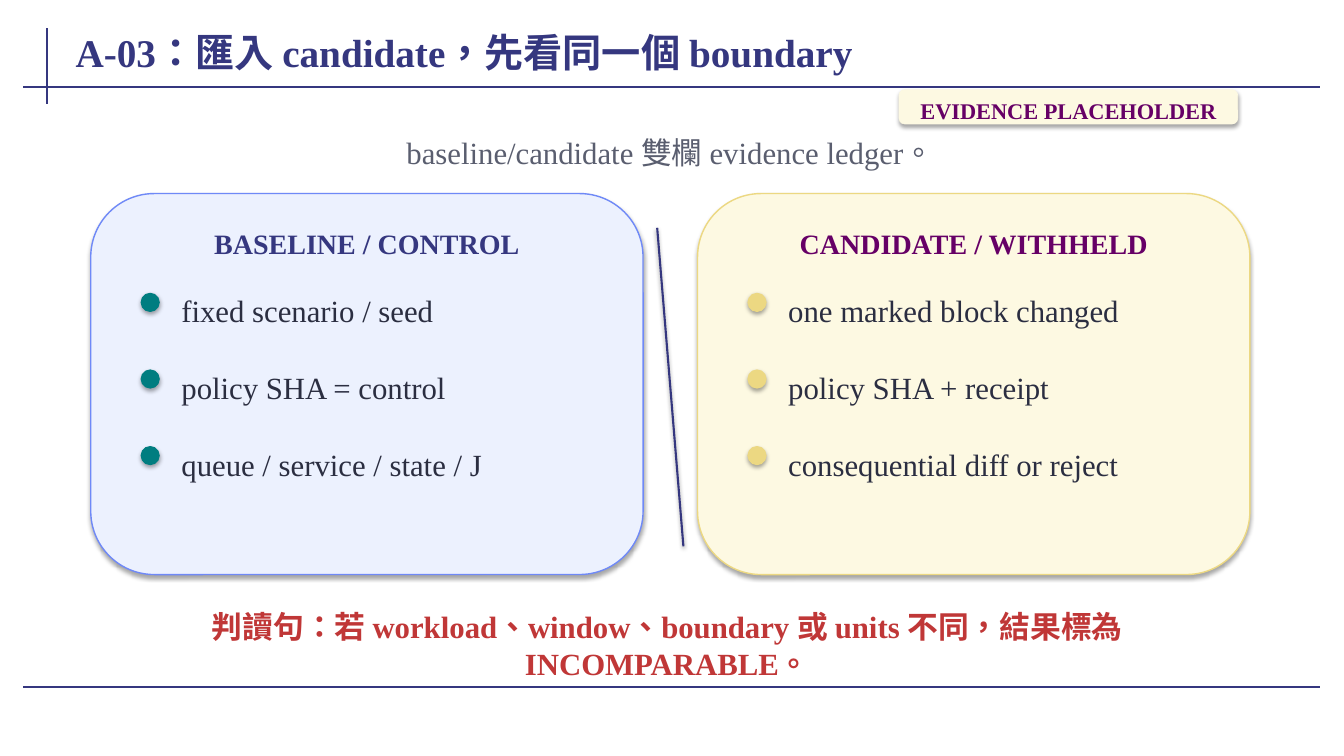
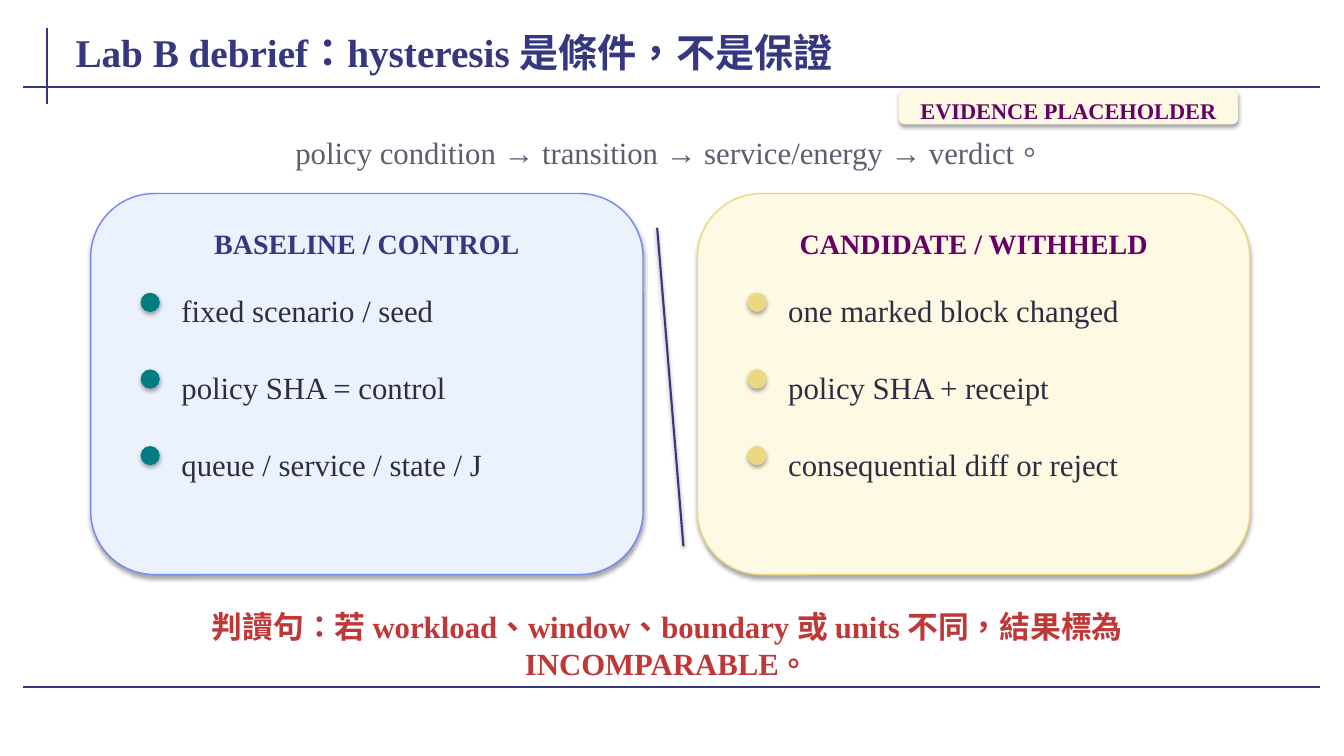
"""Build two evidence-ledger slides that compare a baseline with a candidate."""
from dataclasses import dataclass

from lxml.etree import SubElement
from pptx import Presentation
from pptx.dml.color import RGBColor
from pptx.enum.lang import MSO_LANGUAGE_ID
from pptx.enum.shapes import MSO_CONNECTOR, MSO_SHAPE
from pptx.enum.text import MSO_ANCHOR, MSO_AUTO_SIZE, PP_ALIGN
from pptx.oxml.ns import qn
from pptx.util import Pt

FONT = "Times New Roman"
NAVY, PURPLE, RED = "35377F", "660066", "C03737"
INK, GREY, TEAL = "2B2E41", "5A5E6F", "007D80"
BLUE, PALE_BLUE, GOLD, CREAM = "6F89F7", "ECF1FE", "ECD882", "FDF9E2"

PANEL_TOP, PANEL_W, PANEL_H = 138.24, 394.56, 272.16
HEADING_INDENT = 20.16
ITEM_TOP, ITEM_STEP = 205.2, 54.72
DOT_INDENT, DOT_DROP, DOT_SIZE = 36, 4.32, 12.96
TEXT_INDENT, ITEM_W, ITEM_H = 59.04, 302.4, 28.8
FRAME_LINES = ((33.84, 20.16, 33.84, 74.16), (16.56, 61.92, 943.2, 61.92),
               (16.56, 491.04, 943.2, 491.04))
VERDICT = "判讀句：若 workload、window、boundary 或 units 不同，結果標為 INCOMPARABLE。"


@dataclass(frozen=True)
class Panel:
    """A ledger column with its colours and items."""
    left: float
    heading: str
    heading_color: str
    fill: str
    border: str
    dot: str
    items: tuple[str, ...]


@dataclass(frozen=True)
class Ledger:
    """The wording that differs from slide to slide."""
    title: str
    subtitle: str


PANELS = (
    Panel(64.8, "BASELINE / CONTROL", NAVY, PALE_BLUE, BLUE, TEAL,
          ("fixed scenario / seed", "policy SHA = control", "queue / service / state / J")),
    Panel(498.24, "CANDIDATE / WITHHELD", PURPLE, CREAM, GOLD, GOLD,
          ("one marked block changed", "policy SHA + receipt", "consequential diff or reject")),
)
LEDGERS = (
    Ledger("A-03：匯入 candidate，先看同一個 boundary",
           "baseline/candidate 雙欄 evidence ledger。"),
    Ledger("Lab B debrief：hysteresis 是條件，不是保證",
           "policy condition → transition → service/energy → verdict。"),
)


def rgb(color: str) -> RGBColor:
    return RGBColor.from_string(color)


def set_shadow(sp, alpha: int = 0, dist: float = 1.8) -> None:
    effects = SubElement(sp._element.spPr, qn("a:effectLst"))
    if alpha:
        shadow = SubElement(effects, qn("a:outerShdw"), blurRad=str(Pt(3.1)),
                            dist=str(Pt(dist)), dir="5400000", rotWithShape="0")
        black = SubElement(shadow, qn("a:srgbClr"), val="000000")
        SubElement(black, qn("a:alpha"), val=str(alpha * 1000))


def add_line(s, x1: float, y1: float, x2: float, y2: float, alpha: int = 0) -> None:
    sp = s.shapes.add_connector(MSO_CONNECTOR.STRAIGHT, Pt(x1), Pt(y1), Pt(x2), Pt(y2))
    sp.line.color.rgb = rgb(NAVY)
    sp.line.width = Pt(1.5)
    set_shadow(sp, alpha, 1.6)


def add_box(s, kind: MSO_SHAPE, x: float, y: float, w: float, h: float,
            fill: str, border: str, weight: float) -> None:
    sp = s.shapes.add_shape(kind, Pt(x), Pt(y), Pt(w), Pt(h))
    sp.fill.solid()
    sp.fill.fore_color.rgb = rgb(fill)
    sp.line.color.rgb = rgb(border)
    sp.line.width = Pt(weight)
    set_shadow(sp, 35)


def add_text(s, text: str, x: float, y: float, w: float, h: float, *, size: float = 22,
             color: str = INK, bold: bool = False, align: PP_ALIGN = PP_ALIGN.CENTER,
             anchor: MSO_ANCHOR = MSO_ANCHOR.TOP,
             fit: MSO_AUTO_SIZE = MSO_AUTO_SIZE.SHAPE_TO_FIT_TEXT) -> None:
    tf = s.shapes.add_textbox(Pt(x), Pt(y), Pt(w), Pt(h)).text_frame
    tf.word_wrap = True
    tf.auto_size = fit
    tf.vertical_anchor = anchor
    tf.margin_left = tf.margin_right = Pt(5.76)
    tf.margin_top, tf.margin_bottom = Pt(3.6), Pt(2.88)
    p = tf.paragraphs[0]
    p.alignment = align
    p.space_after = Pt(2)
    r = p.add_run()
    r.text = text
    r.font.name, r.font.size, r.font.bold = FONT, Pt(size), bold
    r.font.color.rgb = rgb(color)
    r.font.language_id = MSO_LANGUAGE_ID.TRADITIONAL_CHINESE


def add_frame(s, title: str) -> None:
    for ends in FRAME_LINES:
        add_line(s, *ends)
    add_text(s, title, 48.24, 13.68, 864, 45.36, size=28, color=NAVY, bold=True,
             align=PP_ALIGN.LEFT, anchor=MSO_ANCHOR.MIDDLE, fit=MSO_AUTO_SIZE.NONE)
    add_box(s, MSO_SHAPE.ROUNDED_RECTANGLE, 642.24, 64.08, 241.92, 24.48, CREAM, CREAM, 0.5)
    add_text(s, "EVIDENCE PLACEHOLDER", 645.84, 65.52, 234.72, 19.44,
             size=16, color=PURPLE, bold=True)


def add_panel(s, panel: Panel) -> None:
    add_box(s, MSO_SHAPE.ROUNDED_RECTANGLE, panel.left, PANEL_TOP, PANEL_W, PANEL_H,
            panel.fill, panel.border, 1)
    add_text(s, panel.heading, panel.left + HEADING_INDENT, PANEL_TOP + HEADING_INDENT,
             PANEL_W - 2 * HEADING_INDENT, 24.48, size=20, color=panel.heading_color, bold=True)
    for i, item in enumerate(panel.items):
        y = ITEM_TOP + i * ITEM_STEP
        add_box(s, MSO_SHAPE.OVAL, panel.left + DOT_INDENT, y + DOT_DROP, DOT_SIZE, DOT_SIZE,
                panel.dot, panel.dot, 0.75)
        add_text(s, item, panel.left + TEXT_INDENT, y, ITEM_W, ITEM_H, align=PP_ALIGN.LEFT)


def add_ledger(prs, ledger: Ledger) -> None:
    s = prs.slides.add_slide(prs.slide_layouts[6])
    add_frame(s, ledger.title)
    add_text(s, ledger.subtitle, 64.8, 92.16, 828, 31.68, color=GREY)
    for panel in PANELS:
        add_panel(s, panel)
    add_line(s, 469.44, 162.72, 488.16, 390.24, alpha=38)
    add_text(s, VERDICT, 73.44, 430.56, 806.4, 24.48, color=RED, bold=True)


def main() -> None:
    prs = Presentation()
    prs.slide_width, prs.slide_height = Pt(960), Pt(540)
    for ledger in LEDGERS:
        add_ledger(prs, ledger)
    prs.save("out.pptx")


if __name__ == "__main__":
    main()
